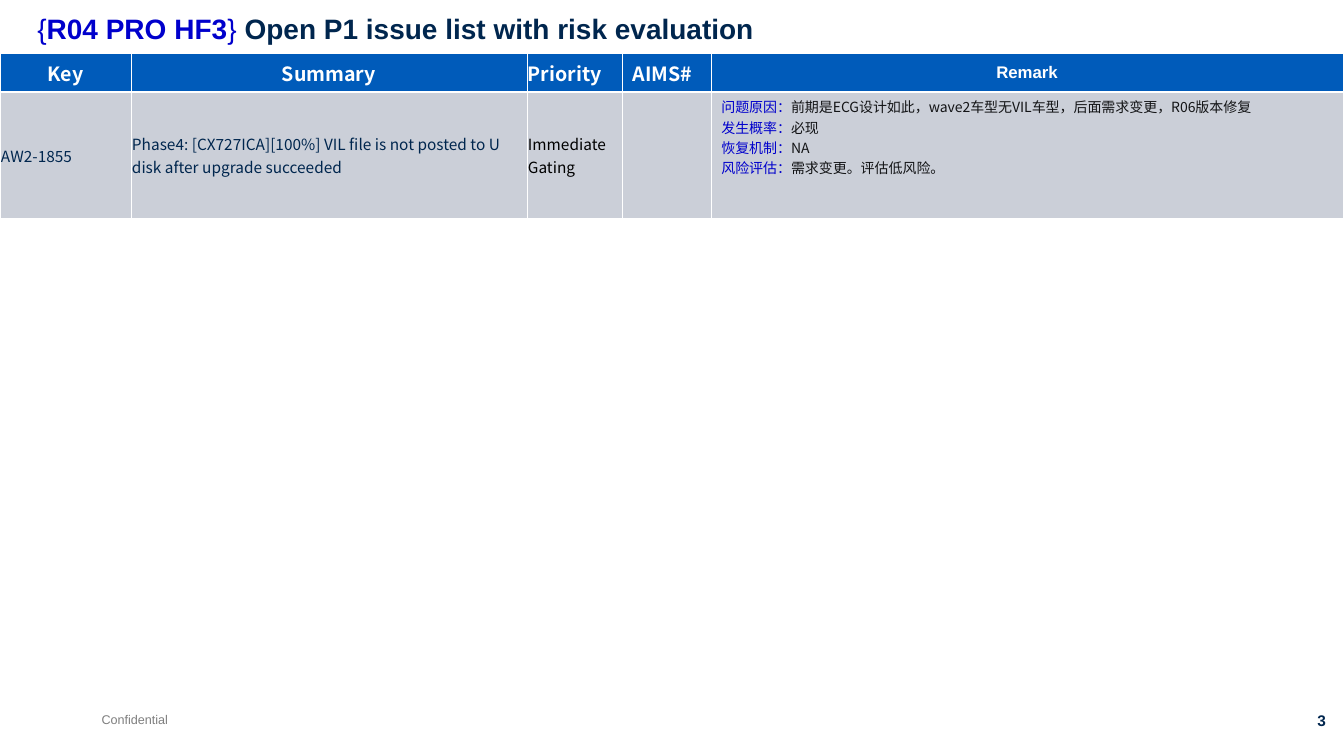
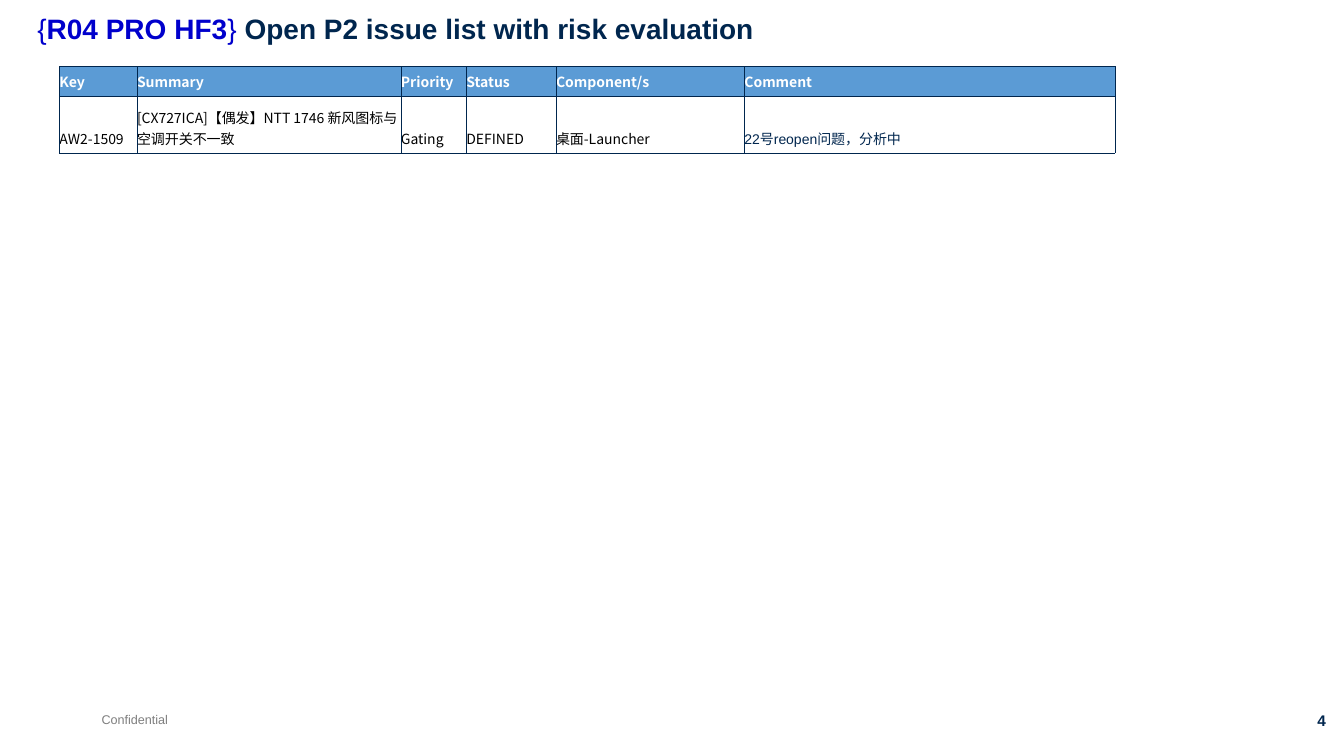
import pptx
import pptx.util
import pptx.dml.color
import pptx.enum.text
import pptx.oxml
import pptx.oxml.ns

Inches, Pt = pptx.util.Inches, pptx.util.Pt
ANCHOR = pptx.enum.text.MSO_ANCHOR
ALIGN = pptx.enum.text.PP_ALIGN

COLORS = {
    "navy": "00264E", "blue": "0000CC", "gray": "7F7F7F", "white": "FFFFFF",
    "black": "000000", "ink": "131416", "p1_header": "005BBA",
    "p1_body": "CBCFD8", "p2_header": "5B9BD5",
}
LATIN, CJK = "Arial", "Noto Sans CJK SC"
TITLE_ONLY = 5


def style_run(run, size, color, bold=False, font=LATIN):
    run.font.size = Pt(size)
    run.font.bold = bold
    run.font.name = font
    run.font.color.rgb = pptx.dml.color.RGBColor.from_string(COLORS[color])
    # East Asian characters always use the CJK face
    east_asian = pptx.oxml.parse_xml(
        f'<a:ea {pptx.oxml.ns.nsdecls("a")} typeface="{CJK}"/>')
    run.font._element.find(pptx.oxml.ns.qn("a:latin")).addnext(east_asian)


def add_run(paragraph, text, **style):
    run = paragraph.add_run()
    run.text = text
    style_run(run, **style)


def add_title(slide, subject):
    title = slide.shapes.title
    title.left, title.top = Inches(0.27), Inches(0.1)
    title.width, title.height = Inches(11.85), Inches(0.63)
    frame = title.text_frame
    frame.auto_size = pptx.enum.text.MSO_AUTO_SIZE.NONE
    frame.vertical_anchor = ANCHOR.TOP
    heading = frame.paragraphs[0]
    heading.alignment = ALIGN.LEFT
    heading.line_spacing = 0.9
    for text, color, bold in (("{", "blue", False), ("R04 PRO HF3", "blue", True),
                              ("} ", "blue", False), (subject, "navy", True)):
        add_run(heading, text, size=20, color=color, bold=bold)


def add_footer_text(slide, text, left, width, align, **style):
    footer = slide.shapes.add_textbox(
        Inches(left), Inches(7.01), Inches(width), Inches(0.27))
    footer.text_frame.word_wrap = True
    line = footer.text_frame.paragraphs[0]
    line.alignment = align
    add_run(line, text, **style)


def add_issue_slide(prs, subject, number):
    slide = prs.slides.add_slide(prs.slide_layouts[TITLE_ONLY])
    add_title(slide, subject)
    add_footer_text(slide, "Confidential", 0.91, 1.2, ALIGN.LEFT, size=9, color="gray")
    add_footer_text(slide, str(number), 12.32, 0.94, ALIGN.RIGHT,
                    size=11, color="navy", bold=True)
    return slide


def add_table(slide, left, top, columns, rows):
    table = slide.shapes.add_table(
        len(rows), len(columns), Inches(left), Inches(top),
        Inches(sum(columns)), Inches(sum(rows))).table
    table.first_row = table.horz_banding = False
    for column, width in zip(table.columns, columns):
        column.width = Inches(width)
    for row, height in zip(table.rows, rows):
        row.height = Inches(height)
    return table


def set_borders(cell, color, **widths):
    """Draw the sides L, R, T and B, thin unless a width is given."""
    properties = cell._tc.get_or_add_tcPr()
    for index, side in enumerate("LRTB"):
        properties.insert(index, pptx.oxml.parse_xml(
            f'<a:ln{side} {pptx.oxml.ns.nsdecls("a")} w="{Pt(widths.get(side, 0.45))}">'
            f'<a:solidFill><a:srgbClr val="{COLORS[color]}"/></a:solidFill></a:ln{side}>'))


def format_cell(cell, fill, anchor, inset):
    cell.vertical_anchor = anchor
    cell.margin_left = cell.margin_right = Inches(inset)
    cell.margin_top = cell.margin_bottom = Inches(0.05)
    if fill:
        cell.fill.solid()
        cell.fill.fore_color.rgb = pptx.dml.color.RGBColor.from_string(COLORS[fill])
    else:
        cell.fill.background()


def write_cell(cell, text, align=ALIGN.LEFT, **style):
    line = cell.text_frame.paragraphs[0]
    line.alignment = align
    if text:
        add_run(line, text, **style)


def write_remarks(cell, remarks):
    frame = cell.text_frame
    for index, (label, remark) in enumerate(remarks):
        line = frame.add_paragraph() if index else frame.paragraphs[0]
        add_run(line, label, size=10, color="blue", font=CJK)
        add_run(line, remark, size=10, color="ink", font=CJK)


def add_p1_table(slide):
    table = add_table(slide, 0, 0.53, [1.3, 3.93, 0.95, 0.88, 6.27], [0.38, 1.26])
    insets = [0.01, 0.01, 0.01, 0.1, 0.1]
    for column, inset in enumerate(insets):
        header, body = table.cell(0, column), table.cell(1, column)
        format_cell(header, "p1_header", ANCHOR.MIDDLE, inset)
        format_cell(body, "p1_body", ANCHOR.MIDDLE, inset)
        set_borders(header, "white", B=1.47)
        set_borders(body, "white", T=1.47)

    # Header row
    headers = [("Key", ALIGN.CENTER, 14, CJK), ("Summary", ALIGN.CENTER, 14, CJK),
               ("Priority", ALIGN.LEFT, 14, CJK), ("AIMS#", ALIGN.LEFT, 14, CJK),
               ("Remark", ALIGN.CENTER, 12, LATIN)]
    for column, (text, align, size, font) in enumerate(headers):
        write_cell(table.cell(0, column), text, align,
                   size=size, color="white", bold=True, font=font)

    # Issue row
    issue = [("AW2-1855", "navy"),
             ("Phase4: [CX727ICA][100%] VIL file is not posted to U disk "
              "after upgrade succeeded", "navy"),
             ("Immediate Gating", "black")]
    for column, (text, color) in enumerate(issue):
        write_cell(table.cell(1, column), text, size=11, color=color, font=CJK)
    remark_cell = table.cell(1, 4)
    remark_cell.vertical_anchor = ANCHOR.TOP
    write_remarks(remark_cell, [
        ("问题原因：", "前期是ECG设计如此，wave2车型无VIL车型，后面需求变更，R06版本修复"),
        ("发生概率：", "必现"),
        ("恢复机制：", "NA"),
        ("风险评估：", "需求变更。评估低风险。"),
    ])


def add_p2_table(slide):
    table = add_table(slide, 0.59, 0.66, [0.77, 2.62, 0.65, 0.89, 1.87, 3.68], [0.3, 0.56])
    issue = [("Key", "AW2-1509"),
             ("Summary", "[CX727ICA]【偶发】NTT 1746 新风图标与空调开关不一致"),
             ("Priority", "Gating"), ("Status", "DEFINED"),
             ("Component/s", "桌面-Launcher"),
             ("Comment", "22号reopen问题，分析中")]
    for column, (heading, value) in enumerate(issue):
        header, body = table.cell(0, column), table.cell(1, column)
        for cell, fill in ((header, "p2_header"), (body, None)):
            format_cell(cell, fill, ANCHOR.BOTTOM, 0)
            set_borders(cell, "navy")
        write_cell(header, heading, size=10, color="white", bold=True, font=CJK)
        is_comment = heading == "Comment"
        write_cell(body, value, size=10, color="navy" if is_comment else "black",
                   font=LATIN if is_comment else CJK)


def main():
    prs = pptx.Presentation()
    prs.slide_width, prs.slide_height = Inches(13.34), Inches(7.5)
    add_p1_table(add_issue_slide(prs, "Open P1 issue list with risk evaluation", 3))
    add_p2_table(add_issue_slide(prs, "Open P2 issue list with risk evaluation", 4))
    prs.save("out.pptx")


if __name__ == "__main__":
    main()
